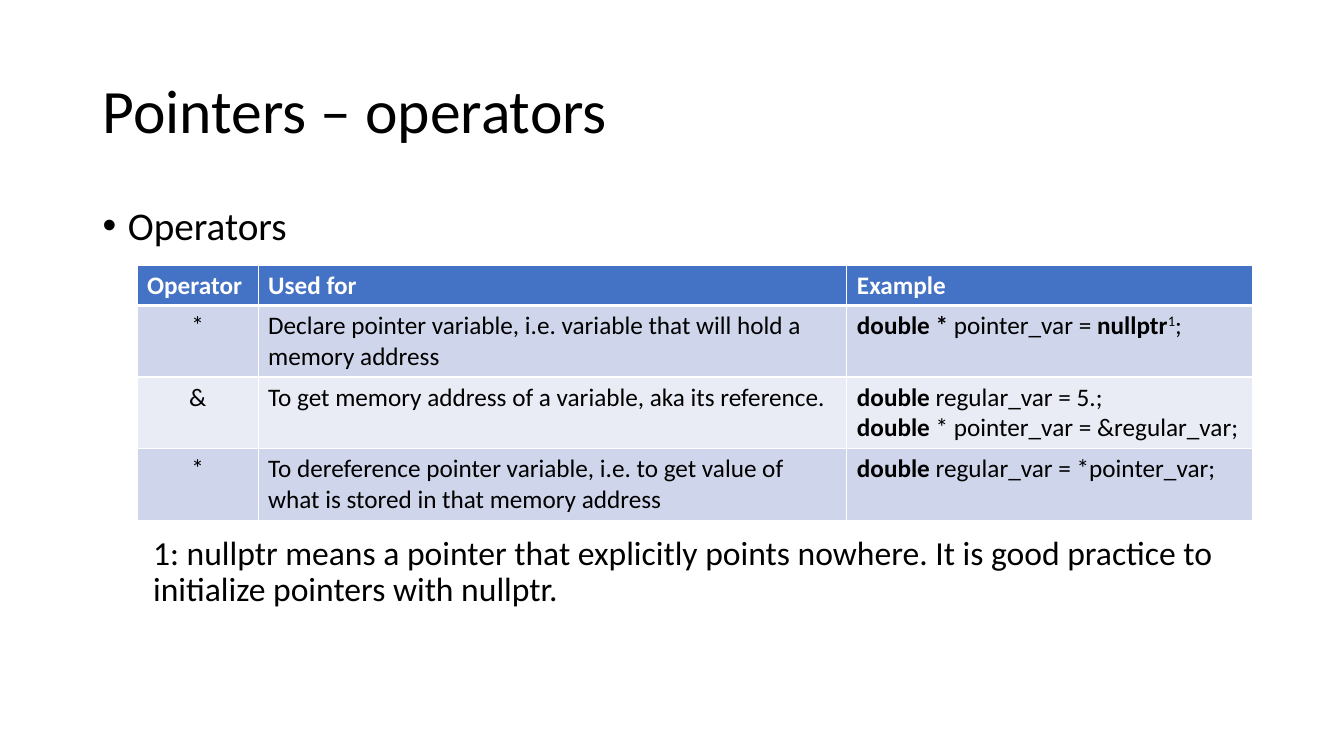
"""Build the slide about pointer operators with a table and a footnote."""
import lxml.etree
import pptx
import pptx.dml.color
import pptx.enum.text
import pptx.oxml.ns
import pptx.util

Inches = pptx.util.Inches
Pt = pptx.util.Pt
BLACK = pptx.dml.color.RGBColor(0x00, 0x00, 0x00)
WHITE = pptx.dml.color.RGBColor(0xFF, 0xFF, 0xFF)
HEADER_BLUE = pptx.dml.color.RGBColor(0x44, 0x72, 0xC4)
BAND_DARK = pptx.dml.color.RGBColor(0xCF, 0xD5, 0xEA)
BAND_LIGHT = pptx.dml.color.RGBColor(0xE9, 0xEB, 0xF5)


def add_span(para, text, size, color=BLACK, bold=False):
    span = para.add_run()
    span.text = text
    span.font.name = "Calibri"
    span.font.size = Pt(size)
    span.font.color.rgb = color
    span.font.bold = bold
    return span


def add_child(parent, tag, **attributes):
    return lxml.etree.SubElement(parent, pptx.oxml.ns.qn(tag), **attributes)


deck = pptx.Presentation()
deck.slide_width = Inches(13.33)
deck.slide_height = Inches(7.5)
page = deck.slides.add_slide(deck.slide_layouts[6])

TOP = pptx.enum.text.MSO_ANCHOR.TOP
MIDDLE = pptx.enum.text.MSO_ANCHOR.MIDDLE
footnote = ("1: nullptr means a pointer that explicitly points nowhere. "
            "It is good practice to initialize pointers with nullptr.")
texts = [
    ("Pointers – operators", 44, (0.92, 0.4, 11.5, 1.45), MIDDLE, False),
    ("Operators", 28, (0.92, 2, 11.5, 0.55), TOP, True),
    (footnote, 24, (1.42, 5.27, 11, 0.9), TOP, False),
]
for text, size, place, anchor, bulleted in texts:
    box = page.shapes.add_textbox(*map(Inches, place))
    box.text_frame.word_wrap = True
    box.text_frame.vertical_anchor = anchor
    para = box.text_frame.paragraphs[0]
    para.line_spacing = 0.9
    add_span(para, text, size)
    if bulleted:
        properties = para._p.get_or_add_pPr()
        properties.set("marL", str(Inches(0.25)))
        properties.set("indent", str(Inches(-0.25)))
        add_child(properties, "a:buFont", typeface="Arial")
        add_child(properties, "a:buChar", char="•")

REGULAR, BOLD, RAISED = "regular", "bold", "raised"
rows = [
    [[[("Operator", BOLD)]], [[("Used for", BOLD)]], [[("Example", BOLD)]]],
    [
        [[("*", REGULAR)]],
        [[("Declare pointer variable, i.e. variable that will hold a memory address", REGULAR)]],
        [[("double * ", BOLD), ("pointer_var = ", REGULAR), ("nullptr", BOLD),
          ("1", RAISED), (";", REGULAR)]],
    ],
    [
        [[("&", REGULAR)]],
        [[("To get memory address of a variable, aka its reference. ", REGULAR)]],
        [[("double ", BOLD), ("regular_var = 5.;", REGULAR)],
         [("double", BOLD), (" * pointer_var = &regular_var;", REGULAR)]],
    ],
    [
        [[("*", REGULAR)]],
        [[("To dereference pointer variable, i.e. to get value of "
           "what is stored in that memory address", REGULAR)]],
        [[("double ", BOLD), ("regular_var = *pointer_var;", REGULAR)]],
    ],
]
column_widths = [1.2, 5.84, 4.02]
row_heights = [0.38] + [0.71] * 3
row_fills = [HEADER_BLUE, BAND_DARK, BAND_LIGHT, BAND_DARK]

operators = page.shapes.add_table(
    len(rows), len(column_widths), Inches(1.36), Inches(2.63),
    Inches(sum(column_widths)), Inches(sum(row_heights))).table
for column, width in zip(operators.columns, column_widths):
    column.width = Inches(width)
for row, height in zip(operators.rows, row_heights):
    row.height = Inches(height)

for row_index, row in enumerate(rows):
    for column_index, lines in enumerate(row):
        cell = operators.cell(row_index, column_index)
        cell_properties = cell._tc.get_or_add_tcPr()
        for side in "LRTB":
            under_header = (row_index, side) in ((0, "B"), (1, "T"))
            border = add_child(cell_properties, "a:ln" + side,
                               w=str(Pt(3 if under_header else 1)))
            add_child(add_child(border, "a:solidFill"), "a:srgbClr", val=str(WHITE))
        cell.fill.solid()
        cell.fill.fore_color.rgb = row_fills[row_index]
        for line_index, line in enumerate(lines):
            frame = cell.text_frame
            para = frame.add_paragraph() if line_index else frame.paragraphs[0]
            if row_index and column_index == 0:
                para.alignment = pptx.enum.text.PP_ALIGN.CENTER
            for text, style in line:
                color = BLACK if row_index else WHITE
                span = add_span(para, text, 18, color, style == BOLD)
                if style == RAISED:
                    span._r.get_or_add_rPr().set("baseline", "30000")

deck.save("out.pptx")
